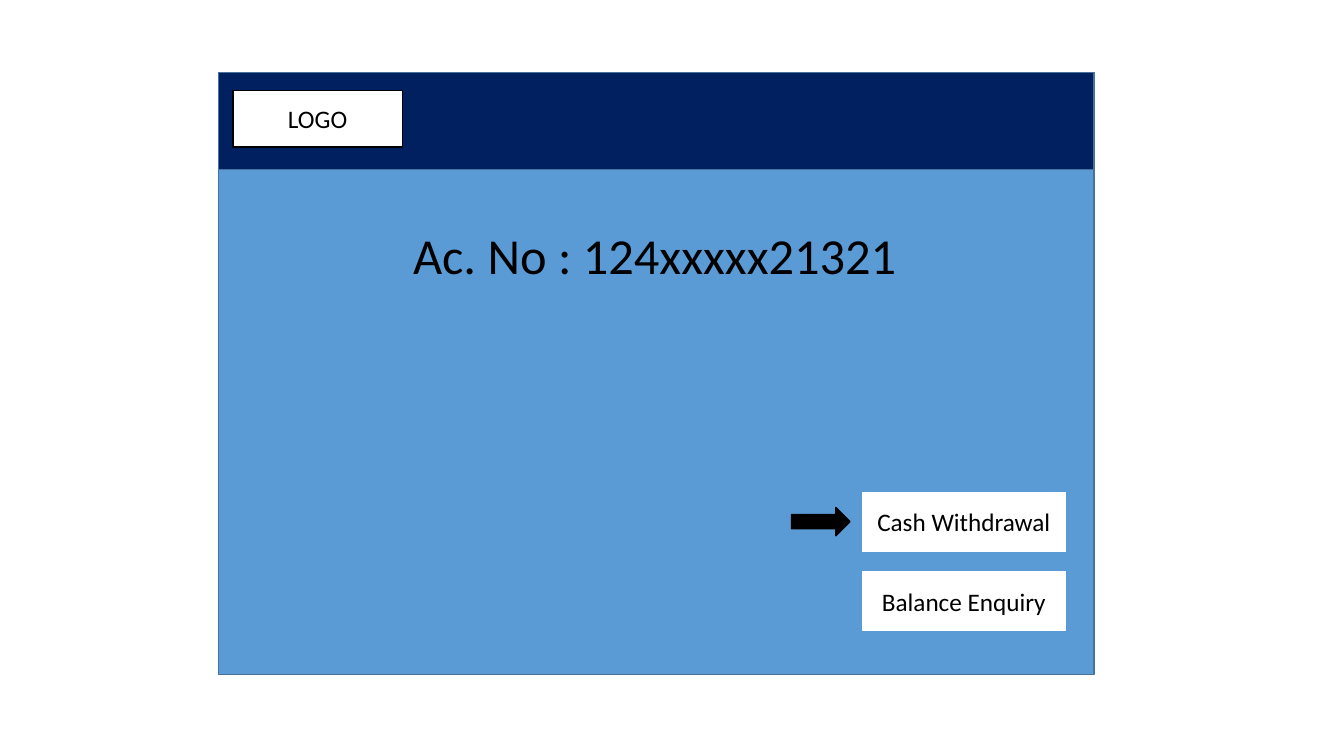
from pptx import Presentation
from pptx.dml.color import RGBColor
from pptx.enum.shapes import MSO_SHAPE
from pptx.enum.text import MSO_ANCHOR, MSO_AUTO_SIZE, PP_ALIGN
from pptx.util import Inches, Pt

# Content
LOGO_LABEL = "LOGO"
ACCOUNT = "Ac. No : 124xxxxx21321"
MENU = ["Cash Withdrawal", "Balance Enquiry"]
SELECTED = 0

# Style
FONT = "Calibri"
BLUE = RGBColor(0x5B, 0x9B, 0xD5)
EDGE = RGBColor(0x43, 0x73, 0x9E)
NAVY = RGBColor(0x00, 0x20, 0x60)
WHITE = RGBColor(0xFF, 0xFF, 0xFF)
BLACK = RGBColor(0x00, 0x00, 0x00)

# Layout in inches
SCREEN_LEFT, SCREEN_TOP, SCREEN_WIDTH, SCREEN_HEIGHT = 2.17, 0.72, 8.68, 5.97
HEADER_HEIGHT = 0.96
MENU_LEFT, MENU_TOP, MENU_STEP = 8.54, 4.87, 0.79
BUTTON_WIDTH, BUTTON_HEIGHT = 2.04, 0.61
ARROW_WIDTH, ARROW_HEIGHT, ARROW_GAP = 0.58, 0.28, 0.11


def write(frame, text, size):
    frame.text = text
    paragraph = frame.paragraphs[0]
    paragraph.alignment = PP_ALIGN.CENTER
    font = paragraph.runs[0].font
    font.name, font.size = FONT, Pt(size)
    font.color.rgb = BLACK


def add_block(slide, box, fill, line, text=None, kind=MSO_SHAPE.RECTANGLE):
    block = slide.shapes.add_shape(kind, *map(Inches, box))
    block.shadow.inherit = False
    block.fill.solid()
    block.fill.fore_color.rgb = fill
    block.line.color.rgb = line
    block.line.width = Pt(1)
    if text:
        block.text_frame.vertical_anchor = MSO_ANCHOR.MIDDLE
        write(block.text_frame, text, 18)


def main():
    prs = Presentation()
    prs.slide_width, prs.slide_height = Inches(13.33), Inches(7.5)
    slide = prs.slides.add_slide(prs.slide_layouts[6])

    # Screen with header and logo box
    for height, fill in ((SCREEN_HEIGHT, BLUE), (HEADER_HEIGHT, NAVY)):
        add_block(slide, (SCREEN_LEFT, SCREEN_TOP, SCREEN_WIDTH, height), fill, EDGE)
    add_block(slide, (2.31, 0.9, 1.68, 0.56), WHITE, BLACK, LOGO_LABEL)

    # Menu buttons
    for row, label in enumerate(MENU):
        top = MENU_TOP + row * MENU_STEP
        add_block(slide, (MENU_LEFT, top, BUTTON_WIDTH, BUTTON_HEIGHT), WHITE, BLUE, label)

    # Account number
    account = slide.shapes.add_textbox(*map(Inches, (3.39, 2.17, 6.21, 0.71))).text_frame
    account.word_wrap = True
    account.auto_size = MSO_AUTO_SIZE.SHAPE_TO_FIT_TEXT
    write(account, ACCOUNT, 36)

    # Arrow pointing at the selected button
    arrow_left = MENU_LEFT - ARROW_GAP - ARROW_WIDTH
    arrow_top = MENU_TOP + SELECTED * MENU_STEP + (BUTTON_HEIGHT - ARROW_HEIGHT) / 2
    add_block(slide, (arrow_left, arrow_top, ARROW_WIDTH, ARROW_HEIGHT),
              BLACK, BLACK, kind=MSO_SHAPE.RIGHT_ARROW)

    prs.save("out.pptx")


if __name__ == "__main__":
    main()
